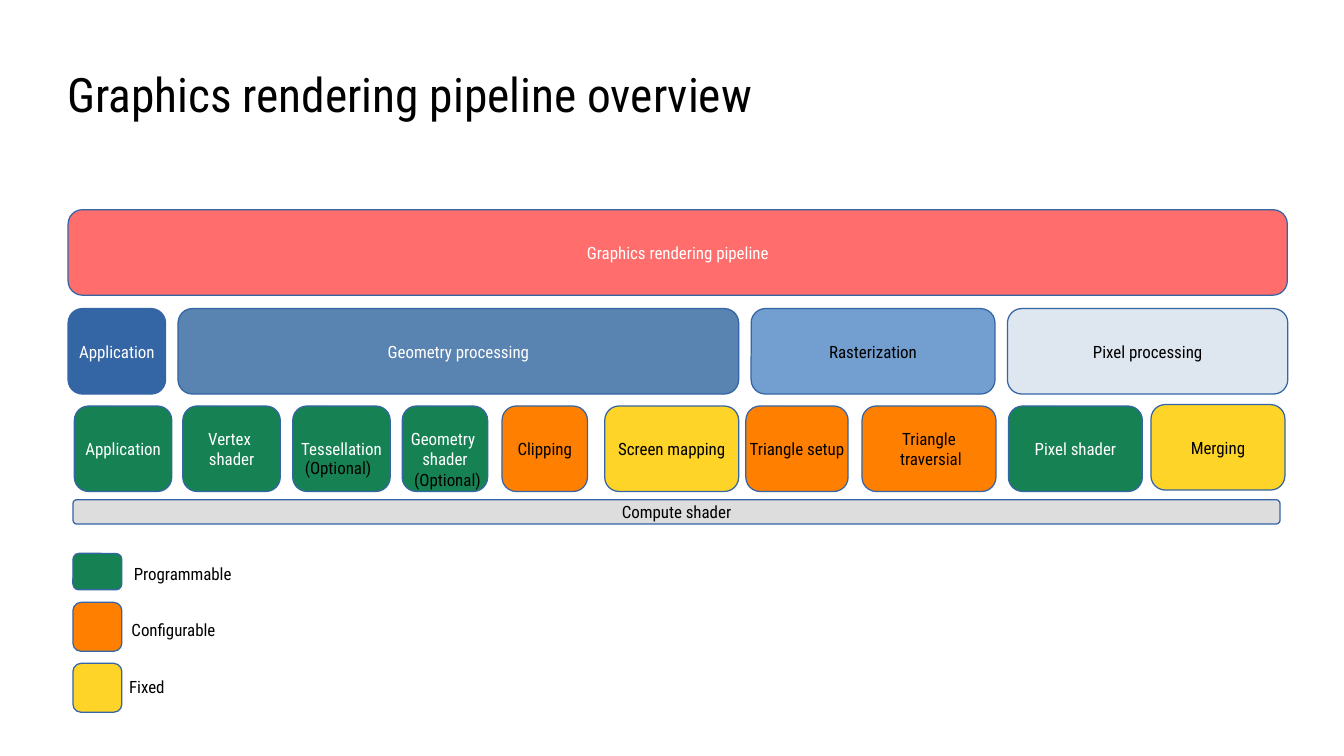
from pptx import Presentation
from pptx.dml.color import RGBColor
from pptx.enum.shapes import MSO_SHAPE
from pptx.enum.text import MSO_ANCHOR, PP_ALIGN
from pptx.util import Cm, Pt

ROUND = MSO_SHAPE.ROUNDED_RECTANGLE
MIDDLE = MSO_ANCHOR.MIDDLE
LEFT, CENTER = PP_ALIGN.LEFT, PP_ALIGN.CENTER

BLACK = RGBColor(0x00, 0x00, 0x00)
WHITE = RGBColor(0xFF, 0xFF, 0xFF)
RED = RGBColor(0xFF, 0x6D, 0x6D)
BLUE = RGBColor(0x34, 0x65, 0xA4)
STEEL = RGBColor(0x59, 0x83, 0xB0)
SKY = RGBColor(0x72, 0x9F, 0xCF)
PALE = RGBColor(0xDE, 0xE6, 0xEF)
GREEN = RGBColor(0x16, 0x82, 0x53)
ORANGE = RGBColor(0xFF, 0x80, 0x00)
YELLOW = RGBColor(0xFF, 0xD4, 0x28)
GRAY = RGBColor(0xDD, 0xDD, 0xDD)

EDGE, HIGH, GAP = 1.42, 1.78, 0.26


def write(frame, text, color, align, size=10):
    frame.text = text
    style = {"name": "Roboto Condensed", "size": Pt(size)}
    for para in frame.paragraphs:
        para.alignment = align
        for run in para.runs:
            for key, value in style.items():
                setattr(run.font, key, value)
            run.font.color.rgb = color


def block(left, top, width, height, fill, text="", color=BLACK):
    box = slide.shapes.add_shape(ROUND, Cm(left), Cm(top), Cm(width), Cm(height))
    box.shadow.inherit = False
    box.fill.solid()
    box.fill.fore_color.rgb = fill
    box.line.color.rgb = BLUE
    box.line.width = 0
    frame = box.text_frame
    frame.word_wrap = False
    frame.vertical_anchor = MIDDLE
    if text:
        write(frame, text, color, CENTER)


deck = Presentation()
deck.slide_width, deck.slide_height = Cm(28), Cm(15.75)
slide = deck.slides.add_slide(deck.slide_layouts[5])

title = slide.shapes.title
place = {"left": Cm(1.4), "top": Cm(0.63), "width": Cm(25.2), "height": Cm(2.64)}
for key, value in place.items():
    setattr(title, key, value)
frame = title.text_frame
for side in ("left", "top", "right", "bottom"):
    setattr(frame, "margin_" + side, 0)
frame.vertical_anchor = MIDDLE
write(frame, "Graphics rendering pipeline overview", BLACK, LEFT, 28)

block(EDGE, 4.37, 25.4, HIGH, RED, "Graphics rendering pipeline", WHITE)

phases = [
    (2.03, BLUE, "Application", WHITE),
    (11.68, STEEL, "Geometry processing", WHITE),
    (5.08, SKY, "Rasterization", BLACK),
    (5.84, PALE, "Pixel processing", BLACK),
]
left = EDGE
for width, fill, text, color in phases:
    block(left, 6.43, width, HIGH, fill, text, color)
    left += width + GAP

stages = [
    (1.55, 8.46, 2.03, GREEN, "Application"),
    (3.81, 8.46, 2.03, GREEN, "Vertex \nshader"),
    (6.1, 8.46, 2.03, GREEN, "Tessellation"),
    (8.38, 8.46, 1.78, GREEN, "Geometry \nshader"),
    (10.46, 8.46, 1.78, ORANGE, "Clipping"),
    (12.6, 8.46, 2.79, YELLOW, "Screen mapping"),
    (15.54, 8.46, 2.13, ORANGE, "Triangle setup"),
    (17.96, 8.46, 2.79, ORANGE, "Triangle\n traversial"),
    (21.01, 8.46, 2.79, GREEN, "Pixel shader"),
    (23.98, 8.43, 2.79, YELLOW, "Merging"),
]
for left, top, width, fill, text in stages:
    block(left, top, width, HIGH, fill, text, WHITE if fill == GREEN else BLACK)

block(1.52, 10.41, 25.15, 0.51, GRAY, "Compute shader")

swatches = [(11.53, 0.76, GREEN), (12.55, 1.02, ORANGE), (13.82, 1.02, YELLOW)]
for top, height, fill in swatches:
    block(1.52, top, 1.02, height, fill)

labels = [
    (2.54, 11.61, "Programmable"),
    (2.49, 12.78, "Configurable"),
    (2.44, 13.97, "Fixed"),
    (6.1, 9.4, "(Optional)"),
    (8.38, 9.65, "(Optional)"),
]
for left, top, text in labels:
    label = slide.shapes.add_textbox(Cm(left), Cm(top), Cm(2.9), Cm(0.74))
    label.text_frame.word_wrap = True
    write(label.text_frame, text, BLACK, LEFT)

deck.save("out.pptx")
